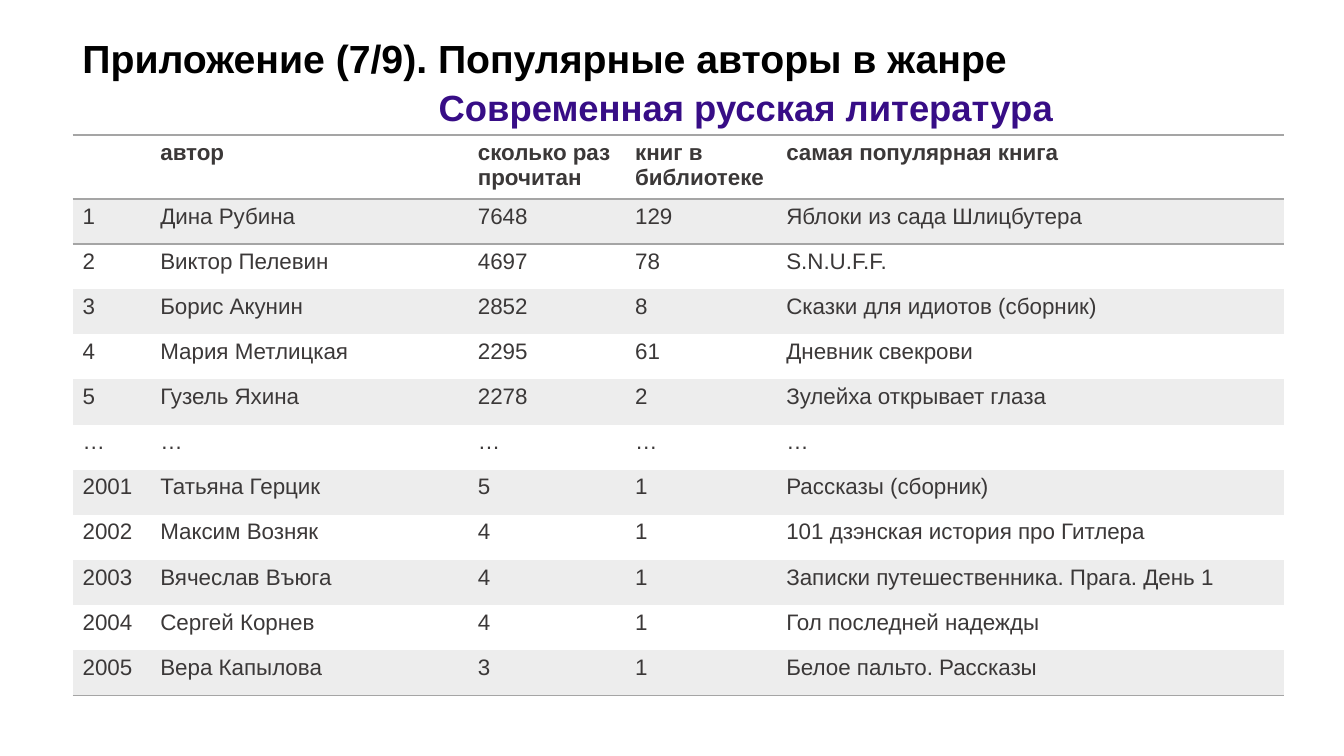
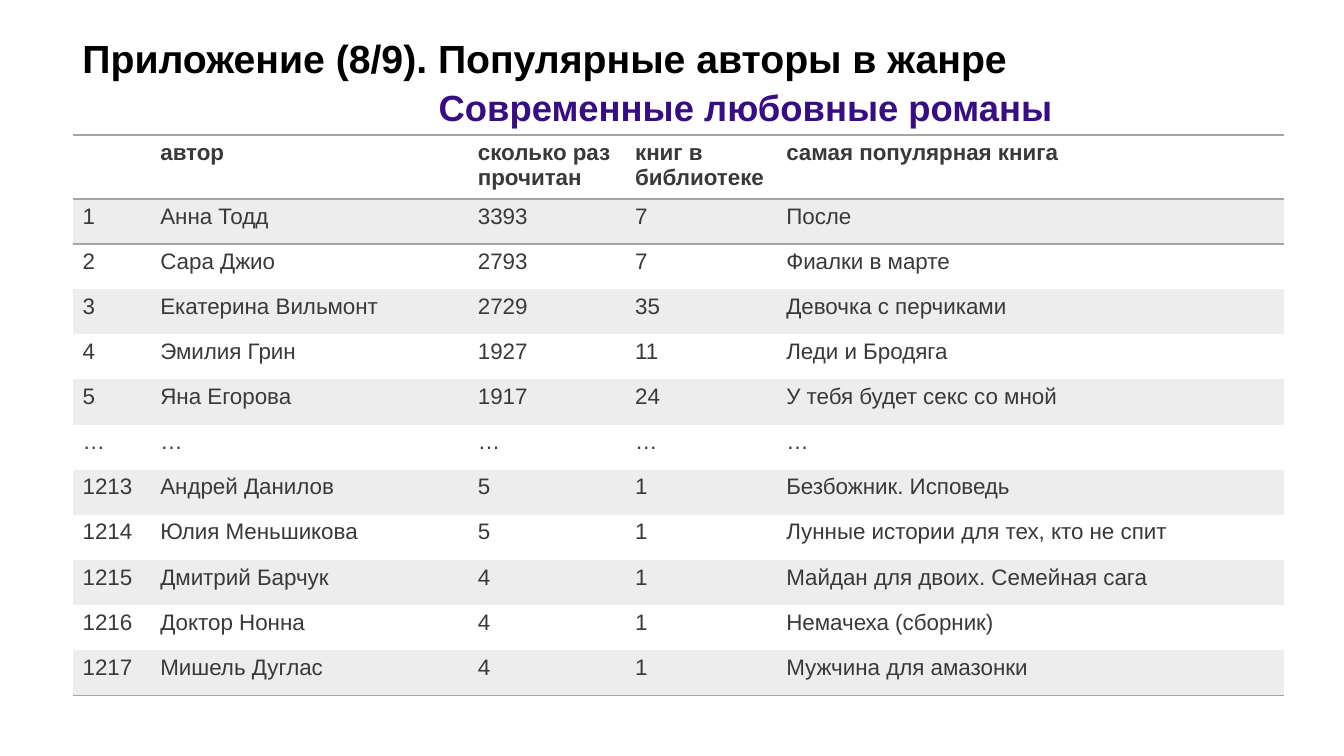
from lxml import etree
from pptx import Presentation
from pptx.dml.color import RGBColor
from pptx.enum.text import MSO_ANCHOR
from pptx.oxml.ns import qn
from pptx.util import Inches, Pt

MIDDLE = MSO_ANCHOR.MIDDLE
COLORS = {"title": "000000", "genre": "370D86", "text": "3B3838",
          "band": "EDEDED", "rule": "A5A5A5"}
FONT = "Arial"
PLAIN = "{2D5ABB26-0587-4C30-8999-92F81FD0307C}"  # no style, no grid

# Lengths are percentages of the slide's width (x) or height (y).
LEFT = 5.4
WIDTHS = (5.78, 23.63, 11.7, 11.25, 37.8)
HEAD_H, ROW_H = 8.45, 5.97
HEADS = ("", "автор", "сколько раз прочитан", "книг в библиотеке",
         "самая популярная книга")
GAP = ("…",) * len(HEADS)

PAGES = (
    (7, "Современная русская литература", (
        ("1", "Дина Рубина", "7648", "129", "Яблоки из сада Шлицбутера"),
        ("2", "Виктор Пелевин", "4697", "78", "S.N.U.F.F."),
        ("3", "Борис Акунин", "2852", "8", "Сказки для идиотов (сборник)"),
        ("4", "Мария Метлицкая", "2295", "61", "Дневник свекрови"),
        ("5", "Гузель Яхина", "2278", "2", "Зулейха открывает глаза"),
        GAP,
        ("2001", "Татьяна Герцик", "5", "1", "Рассказы (сборник)"),
        ("2002", "Максим Возняк", "4", "1", "101 дзэнская история про Гитлера"),
        ("2003", "Вячеслав Въюга", "4", "1",
         "Записки путешественника. Прага. День 1"),
        ("2004", "Сергей Корнев", "4", "1", "Гол последней надежды"),
        ("2005", "Вера Капылова", "3", "1", "Белое пальто. Рассказы"),
    )),
    (8, "Современные любовные романы", (
        ("1", "Анна Тодд", "3393", "7", "После"),
        ("2", "Сара Джио", "2793", "7", "Фиалки в марте"),
        ("3", "Екатерина Вильмонт", "2729", "35", "Девочка с перчиками"),
        ("4", "Эмилия Грин", "1927", "11", "Леди и Бродяга"),
        ("5", "Яна Егорова", "1917", "24", "У тебя будет секс со мной"),
        GAP,
        ("1213", "Андрей Данилов", "5", "1", "Безбожник. Исповедь"),
        ("1214", "Юлия Меньшикова", "5", "1",
         "Лунные истории для тех, кто не спит"),
        ("1215", "Дмитрий Барчук", "4", "1", "Майдан для двоих. Семейная сага"),
        ("1216", "Доктор Нонна", "4", "1", "Немачеха (сборник)"),
        ("1217", "Мишель Дуглас", "4", "1", "Мужчина для амазонки"),
    )),
)


class Deck:
    """Holds the shared style and the slide being filled."""

    def __init__(self):
        self.prs = Presentation()
        self.prs.slide_width = Inches(13.33)
        self.prs.slide_height = Inches(7.5)
        self.slide = None

    def x(self, share):
        return round(self.prs.slide_width * share / 100)

    def y(self, share):
        return round(self.prs.slide_height * share / 100)

    def page(self):
        self.slide = self.prs.slides.add_slide(self.prs.slide_layouts[6])

    def label(self, para, text, size, color, bold=False):
        para.text = text
        font = para.font
        font.name, font.size, font.bold = FONT, Pt(size), bold
        font.color.rgb = RGBColor.from_string(COLORS[color])

    def title(self, number, genre):
        box = self.slide.shapes.add_textbox(
            self.x(LEFT), self.y(3.87), self.x(86.25), self.y(13.87))
        frame = box.text_frame
        frame.word_wrap = True
        frame.vertical_anchor = MIDDLE
        text = f"Приложение ({number}/9). Популярные авторы в жанре"
        self.label(frame.paragraphs[0], text, 28, "title", True)
        sub = frame.add_paragraph()
        self.label(sub, genre, 26, "genre", True)
        sub.space_before = Pt(3)
        props = sub._p.get_or_add_pPr()
        props.set("marL", str(self.x(26.5)))
        props.set("indent", "0")

    def rule(self, cell, *sides):
        """Draw thin lines on the given sides ("T", "B", in that order)."""
        props = cell._tc.get_or_add_tcPr()
        for spot, side in enumerate(sides):
            line = etree.Element(qn(f"a:ln{side}"), w=str(Pt(1)))
            fill = etree.SubElement(line, qn("a:solidFill"))
            etree.SubElement(fill, qn("a:srgbClr"), val=COLORS["rule"])
            props.insert(spot, line)

    def table(self, rows):
        high = HEAD_H + ROW_H * len(rows)
        frame = self.slide.shapes.add_table(
            len(rows) + 1, len(HEADS), self.x(LEFT), self.y(17.87),
            self.x(sum(WIDTHS)), self.y(high))
        grid = frame.table
        grid.first_row = grid.horz_banding = False
        grid._tbl.tblPr.find(qn("a:tableStyleId")).text = PLAIN
        for col, width in zip(grid.columns, WIDTHS):
            col.width = self.x(width)
        for r, values in enumerate((HEADS, *rows)):
            grid.rows[r].height = self.y(ROW_H if r else HEAD_H)
            for c, value in enumerate(values):
                cell = grid.cell(r, c)
                self.label(cell.text_frame.paragraphs[0], value, 16, "text",
                           r == 0)
                if r % 2:
                    cell.fill.solid()
                    cell.fill.fore_color.rgb = RGBColor.from_string(
                        COLORS["band"])
                else:
                    cell.fill.background()
                if r == 0:
                    self.rule(cell, "T", "B")
                elif r == 1:
                    self.rule(cell, "T")
                elif r == len(rows):
                    self.rule(cell, "B")


def main():
    deck = Deck()
    for number, genre, rows in PAGES:
        deck.page()
        deck.title(number, genre)
        deck.table(rows)
    deck.prs.save("out.pptx")


if __name__ == "__main__":
    main()
